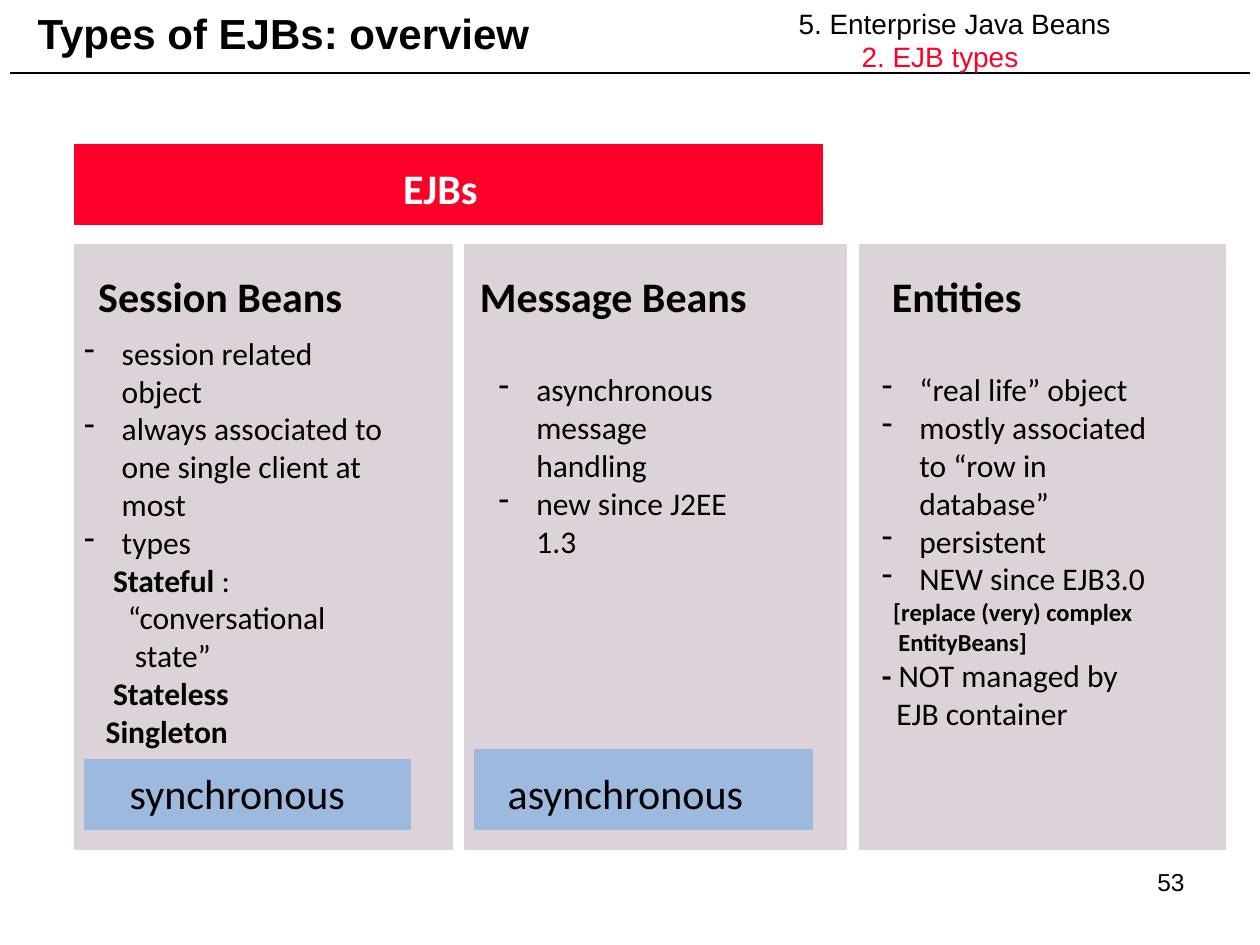
from lxml.etree import SubElement
from pptx import Presentation
from pptx.dml.color import RGBColor
from pptx.enum.shapes import MSO_CONNECTOR, MSO_SHAPE
from pptx.enum.text import MSO_ANCHOR, PP_ALIGN
from pptx.oxml.ns import qn
from pptx.util import Pt

COLORS = {
    "black": "000000", "white": "FFFFFF", "red": "FC0128",
    "card": "DCD2DA", "mode": "9EB9DE",
}

# style: bullet, left margin, first-line indent, size, bold
STYLES = {
    "item": ("-", 21.5, -21.5, 18, False),
    "kind": (None, 16.5, 0, 18, True),
    "last kind": (None, 12.3, 0, 18, True),
    "detail": (None, 29, -4, 18, False),
    "remark": (None, 9.5, -3, 14, True),
    "dash": (None, 8.3, -8.3, 18, False),
}

CARD_TOP, CARD_HEIGHT = 139.7, 345.6
HEADING_TOP, MODE_TEXT_TOP, MODE_BOTTOM = 151.2, 434.9, 473.8

CARDS = [
    {
        "left": 42.5, "width": 216,
        "heading": ("Session Beans", 49, 154),
        "body": (41, 187.2, 188.6, 245),
        "points": [
            ("item", [("session related object", False)]),
            ("item", [("always associated to\vone single client at\vmost", False)]),
            ("item", [("types", False)]),
            ("kind", [("Stateful", True), (" :", False)]),
            ("detail", [("“conversational\vstate”", False)]),
            ("kind", [("Stateless", True)]),
            ("last kind", [("Singleton", True)]),
        ],
        "mode": ("synchronous", 67, 138),
        "mode box": (48.2, 186.5, 39.6),
    },
    {
        "left": 265.7, "width": 218.2,
        "heading": ("Message Beans", 267.1, 167),
        "body": (277.9, 208.1, 159.8, 120),
        "points": [
            ("item", [("asynchronous\vmessage handling", False)]),
            ("item", [("new since J2EE 1.3", False)]),
        ],
        "mode": ("asynchronous", 283, 149.8),
        "mode box": (271.4, 193, 45.4),
    },
    {
        "left": 491, "width": 209.5,
        "heading": ("Entities", 502.6, 88.6),
        "body": (496.8, 208.1, 174.2, 215),
        "points": [
            ("item", [("“real life” object", False)]),
            ("item", [("mostly associated\vto “row in database”", False)]),
            ("item", [("persistent", False)]),
            ("item", [("NEW since EJB3.0", False)]),
            ("remark", [("[replace (very) complex\vEntityBeans]", True)]),
            ("dash", [("- ", True), ("NOT managed by\vEJB container", False)]),
        ],
    },
]

CHAPTER = [("5. Enterprise Java Beans", "black", 0), ("2. EJB types", "red", 36)]


def rgb(color):
    return RGBColor.from_string(COLORS[color])


def add_block(slide, left, top, width, height, color):
    block = slide.shapes.add_shape(
        MSO_SHAPE.RECTANGLE, Pt(left), Pt(top), Pt(width), Pt(height))
    block.shadow.inherit = False
    block.fill.solid()
    block.fill.fore_color.rgb = rgb(color)
    block.line.color.rgb = rgb(color)
    block.line.width = Pt(0.75)


def add_frame(slide, left, top, width, height, wrap=True):
    frame = slide.shapes.add_textbox(
        Pt(left), Pt(top), Pt(width), Pt(height)).text_frame
    frame.word_wrap = wrap
    return frame


def set_font(paragraph, size, color="black", name="Calibri", bold=None):
    font = paragraph.font
    font.size, font.name, font.bold = Pt(size), name, bold
    font.color.rgb = rgb(color)


def add_label(slide, text, left, top, width, height=36, size=24,
              color="black", name="Calibri", bold=False, wrap=False):
    frame = add_frame(slide, left, top, width, height, wrap)
    label = frame.paragraphs[0]
    label.text = text
    set_font(label, size, color, name, bold)
    return frame


def next_paragraph(frame, index):
    return frame.add_paragraph() if index else frame.paragraphs[0]


def set_indent(paragraph, margin, indent, bullet=None):
    properties = paragraph._p.get_or_add_pPr()
    properties.set("marL", str(Pt(margin)))
    properties.set("indent", str(Pt(indent)))
    if bullet:
        SubElement(properties, qn("a:buChar")).set("char", bullet)


def add_points(slide, body, points):
    frame = add_frame(slide, *body)
    for index, (style, parts) in enumerate(points):
        bullet, margin, indent, size, bold = STYLES[style]
        point = next_paragraph(frame, index)
        set_indent(point, margin, indent, bullet)
        set_font(point, size, bold=bold)
        for text, part_bold in parts:
            lines = text.split("\v")
            for number, line in enumerate(lines):
                if number:
                    point.add_line_break()
                run = point.add_run()
                run.text = line
                if part_bold != bold:
                    run.font.bold = part_bold


def add_header(slide):
    rule = slide.shapes.add_connector(
        MSO_CONNECTOR.STRAIGHT, Pt(5.8), Pt(41.8), Pt(714.2), Pt(41.8))
    rule.line.color.rgb = rgb("black")
    rule.line.width = Pt(1)
    SubElement(rule._element.spPr, qn("a:effectLst"))

    title = add_label(slide, "Types of EJBs: overview", 14.4, 0, 423.4, 37.4,
                      name="Arial", bold=True, wrap=True)
    title.vertical_anchor = MSO_ANCHOR.MIDDLE

    chapter = add_frame(slide, 449.3, 0, 264.2, 46.1)
    for index, (text, color, margin) in enumerate(CHAPTER):
        entry = next_paragraph(chapter, index)
        entry.text = text
        set_indent(entry, margin, 0)
        set_font(entry, 16, color, "Arial")


def add_card(slide, card):
    add_block(slide, card["left"], CARD_TOP, card["width"], CARD_HEIGHT, "card")
    text, left, width = card["heading"]
    add_label(slide, text, left, HEADING_TOP, width, bold=True)
    add_points(slide, card["body"], card["points"])
    if "mode" in card:
        left, width, height = card["mode box"]
        add_block(slide, left, MODE_BOTTOM - height, width, height, "mode")
        text, left, width = card["mode"]
        add_label(slide, text, left, MODE_TEXT_TOP, width)


def main():
    presentation = Presentation()
    presentation.slide_width, presentation.slide_height = Pt(720), Pt(540)
    slide = presentation.slides.add_slide(presentation.slide_layouts[6])

    add_header(slide)
    add_block(slide, 42.5, 82.8, 427.7, 45.4, "red")
    add_label(slide, "EJBs", 223.2, 89.3, 56.9, color="white", bold=True)
    for card in CARDS:
        add_card(slide, card)
    number = add_label(slide, "53", 516.2, 491.8, 167.8, 37.4, 14,
                       name="Arial", wrap=True)
    number.paragraphs[0].alignment = PP_ALIGN.RIGHT

    presentation.save("out.pptx")


if __name__ == "__main__":
    main()
